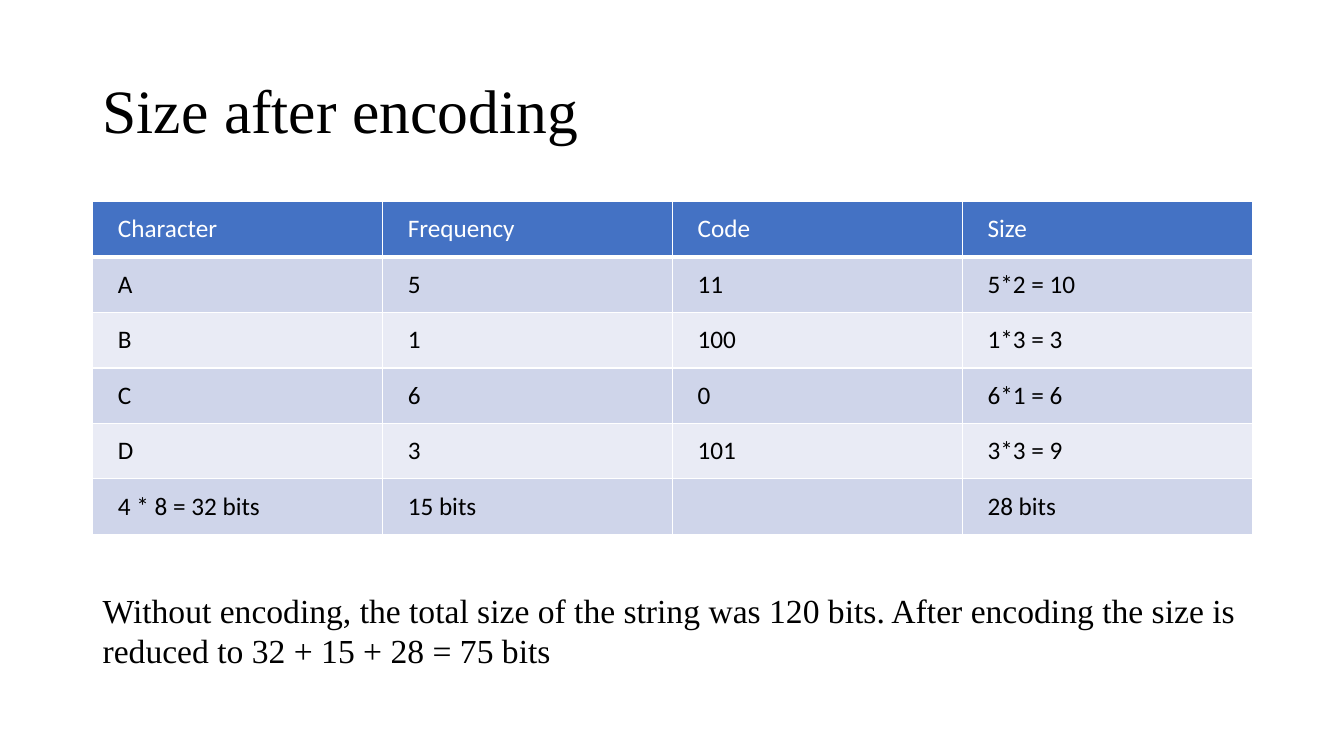
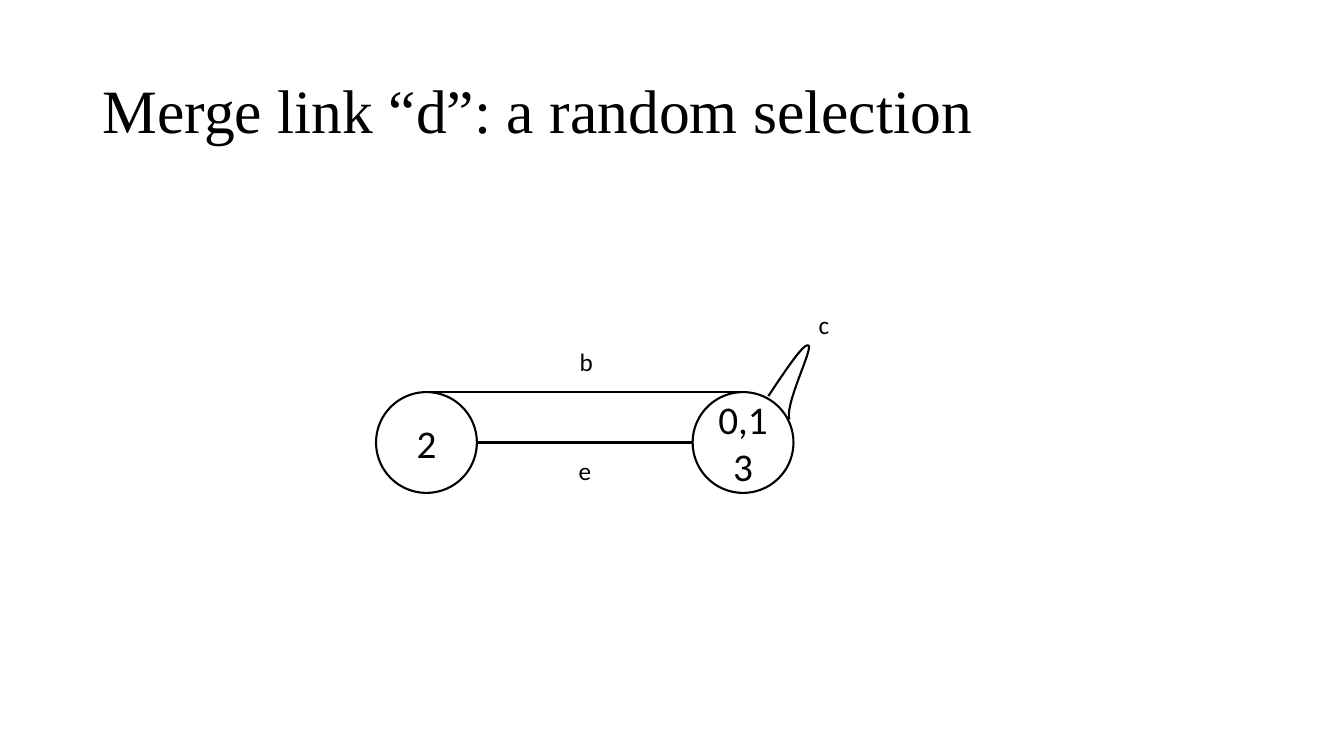
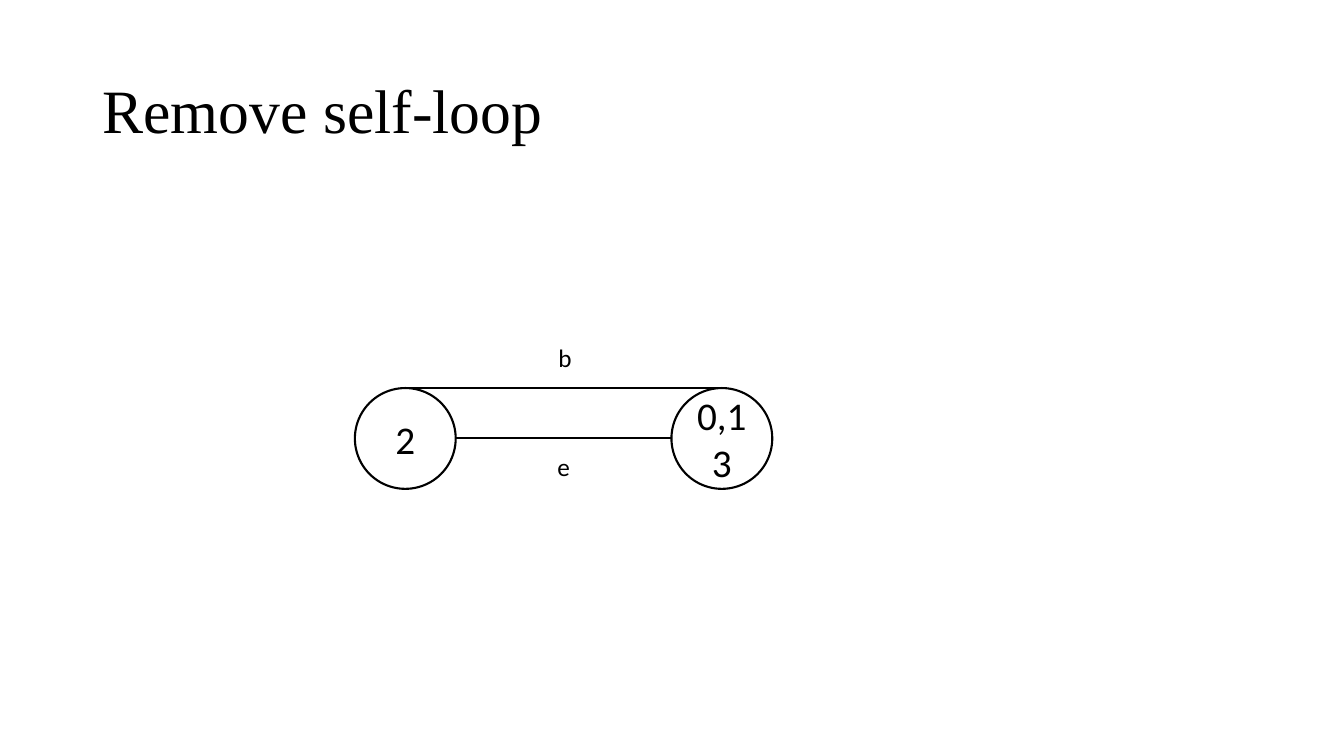
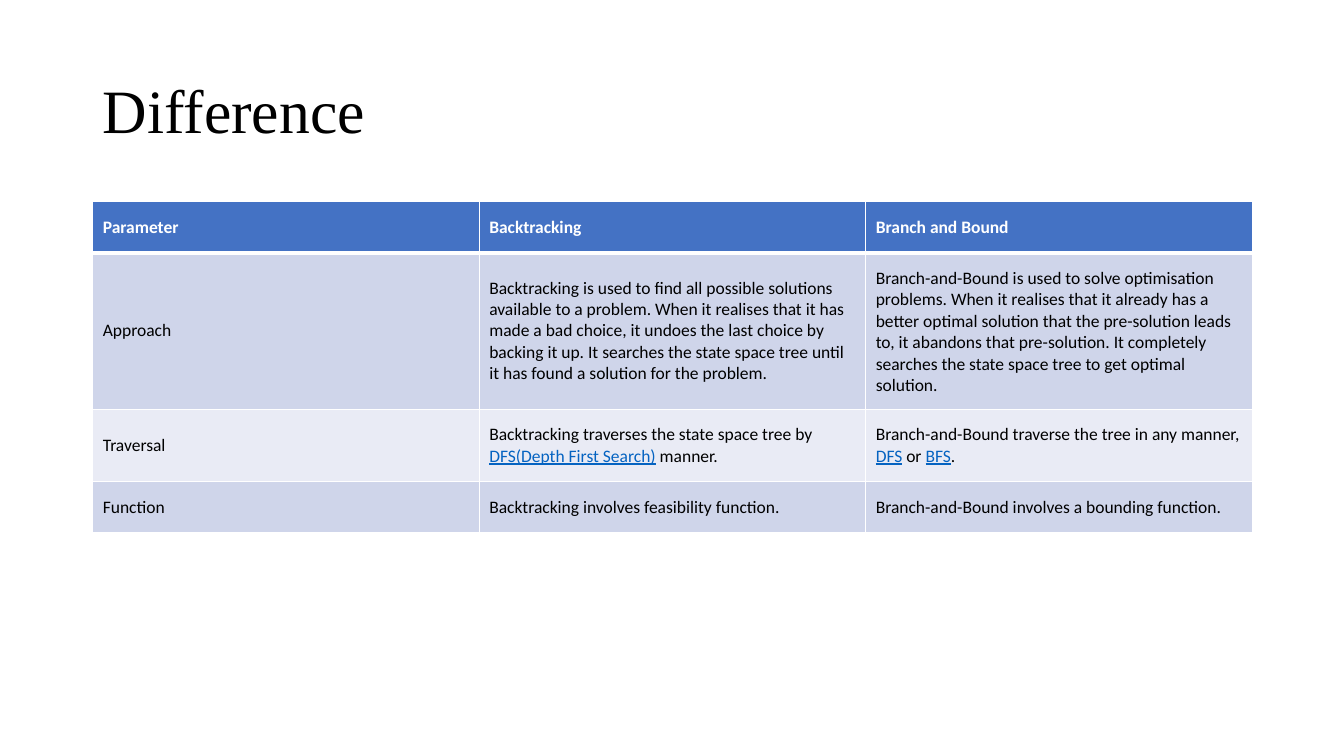
from lxml import etree
from pptx import Presentation
from pptx.dml.color import RGBColor
from pptx.enum.shapes import MSO_CONNECTOR, MSO_SHAPE
from pptx.enum.text import MSO_ANCHOR, MSO_AUTO_SIZE, PP_ALIGN
from pptx.oxml.ns import qn
from pptx.util import Inches, Pt

STRAIGHT = MSO_CONNECTOR.STRAIGHT
ELLIPSE = MSO_SHAPE.OVAL
TOP, MIDDLE = MSO_ANCHOR.TOP, MSO_ANCHOR.MIDDLE
GROW = MSO_AUTO_SIZE.SHAPE_TO_FIT_TEXT
LEFT, CENTER = PP_ALIGN.LEFT, PP_ALIGN.CENTER

BLACK = RGBColor(0x00, 0x00, 0x00)
WHITE = RGBColor(0xFF, 0xFF, 0xFF)
BLUE = RGBColor(0x44, 0x72, 0xC4)
BAND_DARK = RGBColor(0xCF, 0xD5, 0xEA)
BAND_LIGHT = RGBColor(0xE9, 0xEB, 0xF5)
LINK = RGBColor(0x05, 0x63, 0xC1)

SERIF, SANS = "Times New Roman", "Calibri"
MARGIN, CONTENT_WIDTH, TABLE_TOP = 0.92, 11.5, 2
LINE_WIDTH = 1.5
NODE_SIZE, NODE_STEP = 1, 3.14

SIZE_ROWS = [
    ("Character", "Frequency", "Code", "Size"),
    ("A", "5", "11", "5*2 = 10"),
    ("B", "1", "100", "1*3 = 3"),
    ("C", "6", "0", "6*1 = 6"),
    ("D", "3", "101", "3*3 = 9"),
    ("4 * 8 = 32 bits", "15 bits", "", "28 bits"),
]
DIFFERENCE_ROWS = [
    ("Parameter", "Backtracking", "Branch and Bound"),
    (
        "Approach",
        "Backtracking is used to find all possible solutions available to a problem. "
        "When it realises that it has made a bad choice, it undoes the last choice by "
        "backing it up. It searches the state space tree until it has found a solution "
        "for the problem.",
        "Branch-and-Bound is used to solve optimisation problems. When it realises that "
        "it already has a better optimal solution that the pre-solution leads to, it "
        "abandons that pre-solution. It completely searches the state space tree to get "
        "optimal solution.",
    ),
    (
        "Traversal",
        ("Backtracking traverses the state space tree by ", "DFS(Depth First Search)", " manner."),
        ("Branch-and-Bound traverse the tree in any manner, ", "DFS", " or ", "BFS", "."),
    ),
    (
        "Function",
        "Backtracking involves feasibility function.",
        "Branch-and-Bound involves a bounding function.",
    ),
]


def write(frame, text, size=18, font=SANS, color=BLACK, bold=False, align=LEFT, spacing=1.0):
    """Fill a frame; in a tuple of texts every second one looks like a link."""
    paragraph = frame.paragraphs[0]
    paragraph.alignment = align
    paragraph.line_spacing = spacing
    paragraph.font.size = Pt(size)
    for index, part in enumerate((text,) if isinstance(text, str) else text):
        linked = index % 2 == 1
        run = paragraph.add_run()
        run.text = part
        run.font.size = Pt(size)
        run.font.name = font
        run.font.bold = bold
        run.font.underline = linked
        run.font.color.rgb = LINK if linked else color


def curve_points(start, control_1, control_2, end, steps=24):
    for step in range(1, steps + 1):
        t = step / steps
        weights = ((1 - t) ** 3, 3 * t * (1 - t) ** 2, 3 * t**2 * (1 - t), t**3)
        corners = (start, control_1, control_2, end)
        yield tuple(
            Inches(sum(weight * corner[axis] for weight, corner in zip(weights, corners)))
            for axis in (0, 1)
        )


def set_border(cell, side, width):
    line = etree.SubElement(cell._tc.get_or_add_tcPr(), qn(f"a:ln{side}"), w=str(Pt(width)))
    fill = etree.SubElement(line, qn("a:solidFill"))
    etree.SubElement(fill, qn("a:srgbClr"), val=str(WHITE))


class Deck:
    def __init__(self):
        self.presentation = Presentation()
        self.presentation.slide_width = Inches(13.33)
        self.presentation.slide_height = Inches(7.5)
        self.slide = None

    def new_slide(self, title):
        self.slide = self.presentation.slides.add_slide(self.presentation.slide_layouts[6])
        self.text(title, MARGIN, 0.4, CONTENT_WIDTH, 1.45, anchor=MIDDLE,
                  size=44, font=SERIF, spacing=0.9)

    def text(self, text, left, top, width, height, anchor=TOP, wrap=True, **style):
        box = self.slide.shapes.add_textbox(
            Inches(left), Inches(top), Inches(width), Inches(height))
        frame = box.text_frame
        frame.word_wrap = wrap
        frame.vertical_anchor = anchor
        if anchor == TOP:
            frame.auto_size = GROW
        write(frame, text, **style)

    def label(self, text, left, top):
        self.text(text, left, top, 0.33, 0.4, wrap=False)

    def node(self, text, left, top):
        shape = self.slide.shapes.add_shape(
            ELLIPSE, Inches(left), Inches(top), Inches(NODE_SIZE), Inches(NODE_SIZE))
        shape.shadow.inherit = False
        shape.fill.solid()
        shape.fill.fore_color.rgb = WHITE
        self.outline(shape)
        shape.text_frame.vertical_anchor = MIDDLE
        write(shape.text_frame, text, size=28, align=CENTER)
        return shape

    def outline(self, shape):
        shape.line.color.rgb = BLACK
        shape.line.width = Pt(LINE_WIDTH)

    def edge(self, start, end):
        connector = self.slide.shapes.add_connector(
            STRAIGHT, *(Inches(value) for value in (*start, *end)))
        self.outline(connector)
        etree.SubElement(connector._element.spPr, qn("a:effectLst"))
        return connector

    def graph(self, left, top):
        right = left + NODE_STEP
        radius = NODE_SIZE / 2
        merged_node = self.node("0,13", right, top)
        single_node = self.node("2", left, top)
        upper_edge = self.edge((right + radius, top), (left + radius, top))
        upper_edge.begin_connect(merged_node, 0)
        upper_edge.end_connect(single_node, 0)
        self.edge((left + NODE_SIZE, top + radius), (right, top + radius))
        self.label("b", left + 1.92, top - 0.5)
        self.label("e", left + 1.91, top + 0.58)

    def self_loop(self, start, *curves):
        builder = self.slide.shapes.build_freeform(*(Inches(value) for value in start))
        for curve in curves:
            builder.add_line_segments(curve_points(start, *curve), close=False)
            start = curve[-1]
        shape = builder.convert_to_shape()
        shape.shadow.inherit = False
        shape.fill.background()
        self.outline(shape)

    def table(self, rows, heights, insets, size, bold_header):
        columns = len(rows[0])
        table = self.slide.shapes.add_table(
            len(rows), columns, Inches(MARGIN), Inches(TABLE_TOP),
            Inches(CONTENT_WIDTH), Inches(sum(heights))).table
        table.first_row = table.horz_banding = False
        for column in table.columns:
            column.width = Inches(CONTENT_WIDTH / columns)
        for row, (texts, height) in enumerate(zip(rows, heights)):
            table.rows[row].height = Inches(height)
            header = row == 0
            for column, text in enumerate(texts):
                cell = table.cell(row, column)
                cell.margin_left = cell.margin_right = Inches(insets[0])
                cell.margin_top = cell.margin_bottom = Inches(insets[1])
                cell.vertical_anchor = MIDDLE
                for side, width in (("L", 1), ("R", 1), ("T", 3 if row == 1 else 1),
                                    ("B", 3 if header else 1)):
                    set_border(cell, side, width)
                cell.fill.solid()
                cell.fill.fore_color.rgb = (
                    BLUE if header else BAND_DARK if row % 2 else BAND_LIGHT)
                write(cell.text_frame, text, size=size, color=WHITE if header else BLACK,
                      bold=header and bold_header)


def main():
    deck = Deck()

    deck.new_slide("Size after encoding")
    deck.table(SIZE_ROWS, [0.55] * len(SIZE_ROWS), (0.25, 0.12), 18, False)
    deck.text("Without encoding, the total size of the string was 120 bits. "
              "After encoding the size is reduced to 32 + 15 + 28 = 75 bits",
              MARGIN, 5.8, CONTENT_WIDTH, 0.91, size=24, font=SERIF)

    deck.new_slide("Merge link “d”: a random selection")
    deck.graph(3.73, 3.89)
    deck.label("c", 8.02, 3.02)
    deck.self_loop((7.62, 3.93),
                   ((7.8, 3.66), (7.98, 3.39), (8.02, 3.43)),
                   ((8.06, 3.47), (7.78, 4.02), (7.83, 4.16)))

    deck.new_slide("Remove self-loop")
    deck.graph(3.52, 3.85)

    deck.new_slide("Difference")
    deck.table(DIFFERENCE_ROWS, [0.5, 1.55, 0.71, 0.5], (0.1, 0.15), 12.5, True)

    deck.presentation.save("out.pptx")


if __name__ == "__main__":
    main()
